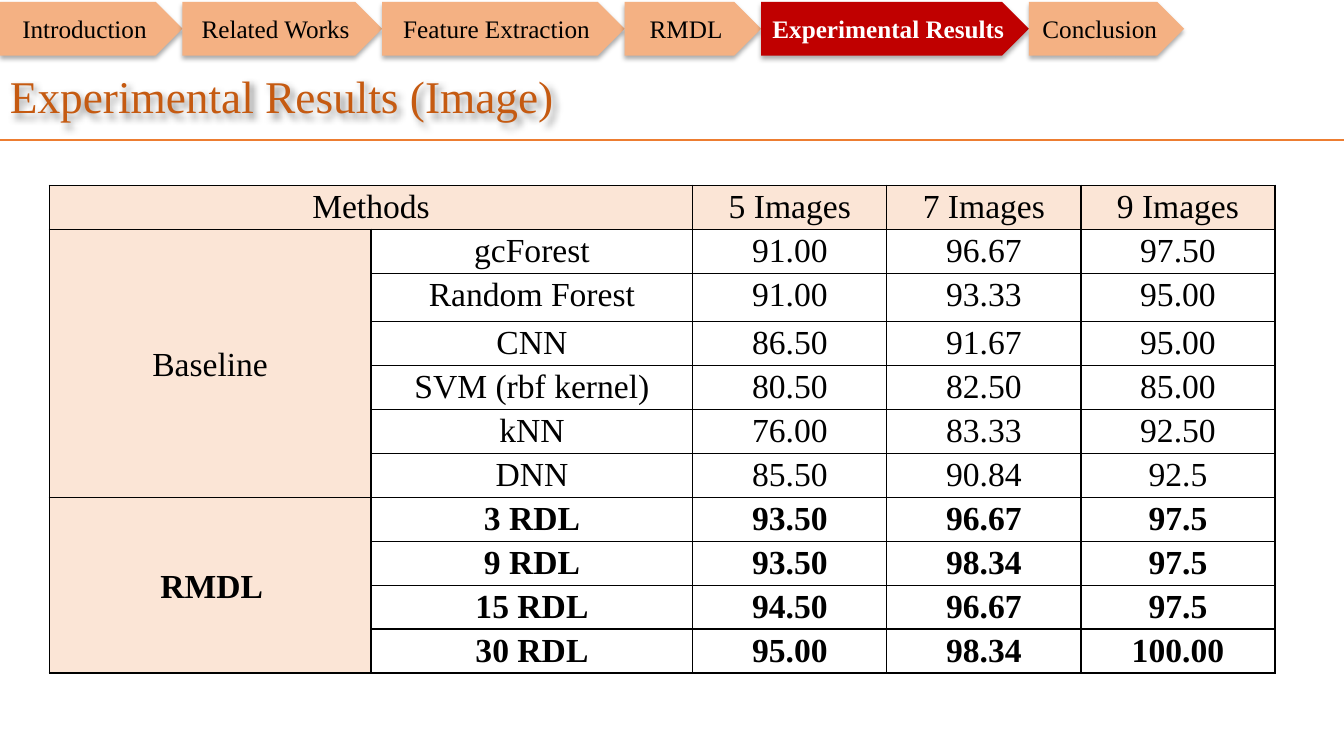
from lxml.etree import SubElement
from pptx import Presentation
from pptx.dml.color import RGBColor
from pptx.enum.shapes import MSO_CONNECTOR, MSO_SHAPE
from pptx.enum.text import MSO_ANCHOR, PP_ALIGN
from pptx.oxml.ns import qn
from pptx.util import Cm, Pt

COLORS = {
    "black": "000000", "white": "FFFFFF", "rule": "ED7D31", "title": "C55A11",
    "tab": "F4B183", "active": "C00000", "head": "FBE5D6",
}
TABS = [("Introduction", 4.6), ("Related Works", 5.03),
        ("Feature Extraction", 6.11), ("RMDL", 3.44),
        ("Experimental Results", 6.75), ("Conclusion", 3.91)]
ACTIVE = "Experimental Results"
ROWS = [
    ["Methods", "", "5 Images", "7 Images", "9 Images"],
    ["Baseline", "gcForest", "91.00", "96.67", "97.50"],
    ["", "Random Forest", "91.00", "93.33", "95.00"],
    ["", "CNN", "86.50", "91.67", "95.00"],
    ["", "SVM (rbf kernel)", "80.50", "82.50", "85.00"],
    ["", "kNN", "76.00", "83.33", "92.50"],
    ["", "DNN", "85.50", "90.84", "92.5"],
    ["RMDL", "3 RDL", "93.50", "96.67", "97.5"],
    ["", "9 RDL", "93.50", "98.34", "97.5"],
    ["", "15 RDL", "94.50", "96.67", "97.5"],
    ["", "30 RDL", "95.00", "98.34", "100.00"],
]
OURS = 7  # first row of the RMDL group
SPANS = [(0, 0, 0, 1), (1, 0, 6, 0), (OURS, 0, 10, 0)]
WIDTHS = [8.11, 8.11, 4.89, 4.89, 4.89]
HEIGHTS = [1.21 if row[1] == "Random Forest" else 1.08 for row in ROWS]


def paint(fill, color):
    fill.solid()
    fill.fore_color.rgb = RGBColor.from_string(COLORS[color])


class Deck:
    font = "Times New Roman"

    def __init__(self, slide):
        self.slide = slide

    def label(self, frame, text, size, color="black", bold=False,
              align=PP_ALIGN.CENTER, space=1.0):
        para = frame.paragraphs[0]
        para.alignment = align
        para.line_spacing = space
        run = para.add_run()
        run.text = text
        run.font.name = self.font
        run.font.size = Pt(size)
        run.font.bold = bold
        run.font.color.rgb = RGBColor.from_string(COLORS[color])
        return para

    def shade(self, shape, blur, dist, angle, alpha):
        """Add a soft black shadow; lengths in points, alpha in percent."""
        shape.shadow.inherit = False
        effects = shape._element.spPr.find(qn("a:effectLst"))
        outer = SubElement(effects, qn("a:outerShdw"), blurRad=str(Pt(blur)),
                           dist=str(Pt(dist)), dir=str(angle * 60000),
                           algn="tl", rotWithShape="0")
        tint = SubElement(outer, qn("a:srgbClr"), val=COLORS["black"])
        SubElement(tint, qn("a:alpha"), val=str(alpha * 1000))

    def rule(self, top, width):
        line = self.slide.shapes.add_connector(
            MSO_CONNECTOR.STRAIGHT, Cm(0), Cm(top), Cm(width), Cm(top))
        line.line.color.rgb = RGBColor.from_string(COLORS["rule"])
        line.line.width = Pt(1.5)
        SubElement(line._element.spPr, qn("a:effectLst"))

    def title(self, text, top, width, height):
        box = self.slide.shapes.add_textbox(Cm(0), Cm(top), Cm(width), Cm(height))
        frame = box.text_frame
        frame.word_wrap = True
        frame.vertical_anchor = MSO_ANCHOR.MIDDLE
        self.label(frame, text, 32.4, "title", align=PP_ALIGN.LEFT, space=0.9)
        self.shade(box, 4, 3, 45, 40)

    def tab(self, text, left, width, active):
        shape = self.slide.shapes.add_shape(
            MSO_SHAPE.PENTAGON, Cm(left), Cm(0.05), Cm(width), Cm(1.35))
        paint(shape.fill, "active" if active else "tab")
        shape.line.fill.background()
        self.shade(shape, 3.5, 2.2, 90, 32)
        frame = shape.text_frame
        frame.word_wrap = True
        frame.margin_left = frame.margin_right = Cm(0.1)
        frame.vertical_anchor = MSO_ANCHOR.MIDDLE
        self.label(frame, text, 18, "white" if active else "black", active)

    def border(self, cell):
        props = cell._tc.get_or_add_tcPr()
        for side in ("lnL", "lnR", "lnT", "lnB"):
            edge = SubElement(props, qn(f"a:{side}"), w=str(Pt(1)))
            fill = SubElement(edge, qn("a:solidFill"))
            SubElement(fill, qn("a:srgbClr"), val=COLORS["black"])

    def cell(self, cell, text, shaded, bold):
        self.border(cell)
        if shaded:
            paint(cell.fill, "head")
        else:
            cell.fill.background()
        cell.margin_left = cell.margin_right = Cm(0.2)
        cell.margin_top, cell.margin_bottom = Cm(0.02), Cm(0)
        if cell.is_spanned:
            return
        tall = cell.is_merge_origin and cell.span_height > 1
        cell.vertical_anchor = MSO_ANCHOR.MIDDLE if tall else MSO_ANCHOR.TOP
        para = self.label(cell.text_frame, text, 24, bold=bold, space=1.07)
        if tall and bold:
            para._p.get_or_add_pPr().set("marL", str(Cm(0.08)))

    def table(self, left, top):
        grid = self.slide.shapes.add_table(
            len(ROWS), len(WIDTHS), Cm(left), Cm(top),
            Cm(sum(WIDTHS)), Cm(sum(HEIGHTS))).table
        grid.first_row = grid.horz_banding = False
        for col, width in zip(grid.columns, WIDTHS):
            col.width = Cm(width)
        for row, height in zip(grid.rows, HEIGHTS):
            row.height = Cm(height)
        for r1, c1, r2, c2 in SPANS:
            grid.cell(r1, c1).merge(grid.cell(r2, c2))
        for r, row in enumerate(ROWS):
            for c, text in enumerate(row):
                self.cell(grid.cell(r, c), text, r == 0 or c == 0, r >= OURS)


def main():
    show = Presentation()
    show.slide_width, show.slide_height = Cm(33.87), Cm(19.05)
    deck = Deck(show.slides.add_slide(show.slide_layouts[6]))
    deck.rule(3.53, 33.87)
    deck.title("Experimental Results (Image)", 1.7, 33.87, 1.57)
    left = 0
    for text, width in TABS:
        deck.tab(text, left, width, text == ACTIVE)
        left += width
    deck.table(1.24, 4.67)
    show.save("out.pptx")


if __name__ == "__main__":
    main()
